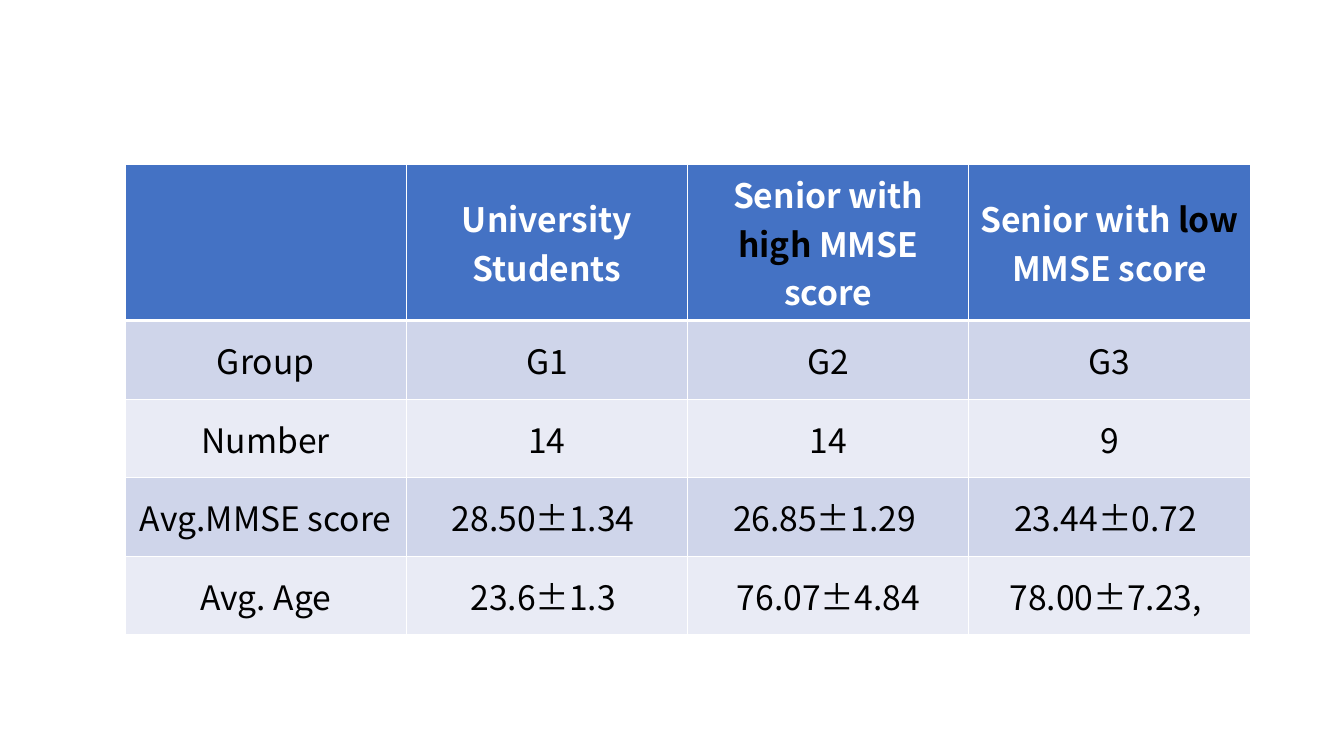
"""Build the slide with the table of participant groups and their MMSE scores."""
from dataclasses import dataclass

from lxml import etree
from pptx import Presentation
from pptx import util as u
from pptx.dml.color import RGBColor
from pptx.enum import text
from pptx.oxml import ns
from pptx.table import _Cell

WHITE = RGBColor(0xFF, 0xFF, 0xFF)
BLACK = RGBColor(0x00, 0x00, 0x00)
HEADER_BLUE = RGBColor(0x44, 0x72, 0xC4)
BAND_DARK = RGBColor(0xCF, 0xD5, 0xEA)
BAND_LIGHT = RGBColor(0xE9, 0xEB, 0xF5)
FONT = "Noto Sans CJK KR"
TEXT_SIZE = u.Pt(24)
THIN, THICK = u.Pt(1), u.Pt(3)
SLIDE_WIDTH, SLIDE_HEIGHT = u.Inches(13.33), u.Inches(7.5)
LEFT, TOP = u.Inches(1.24), u.Inches(1.63)
COLUMN_WIDTH = u.Inches(2.79)
HEADER_HEIGHT, ROW_HEIGHT = u.Inches(1.13), u.Inches(0.78)


@dataclass(frozen=True)
class Phrase:
    """A stretch of text in one colour."""
    words: str
    color: RGBColor = WHITE


Line = list[Phrase]


def senior_heading(level: str) -> list[Line]:
    """Return the heading of a senior group with its score level in black."""
    return [[Phrase("Senior with "), Phrase(level, BLACK), Phrase(" MMSE score")]]


HEADINGS: list[list[Line]] = [
    [],
    [[Phrase("University")], [Phrase("Students")]],
    senior_heading("high"),
    senior_heading("low"),
]
MEASURES = [
    ("Group", "G1", "G2", "G3"),
    ("Number", "14", "14", "9"),
    ("Avg.MMSE score", "28.50±1.34 ", "26.85±1.29 ", "23.44±0.72 "),
    ("Avg. Age", "23.6±1.3 ", "76.07±4.84", "78.00±7.23, "),
]


def add_borders(cell: _Cell, top: int, bottom: int) -> None:
    """Draw white borders, thin at the sides."""
    properties = cell._tc.get_or_add_tcPr()
    for side, width in (("L", THIN), ("R", THIN), ("T", top), ("B", bottom)):
        border = etree.SubElement(properties, ns.qn(f"a:ln{side}"), w=str(int(width)))
        fill = etree.SubElement(border, ns.qn("a:solidFill"))
        etree.SubElement(fill, ns.qn("a:srgbClr"), val=str(WHITE))


def write_lines(cell: _Cell, lines: list[Line], bold: bool) -> None:
    """Write centred paragraphs, run by run."""
    for index, line in enumerate(lines):
        frame = cell.text_frame
        paragraph = frame.add_paragraph() if index else frame.paragraphs[0]
        paragraph.alignment = text.PP_ALIGN.CENTER
        for phrase in line:
            run = paragraph.add_run()
            run.text = phrase.words
            run.font.size = TEXT_SIZE
            run.font.bold = bold
            run.font.name = FONT
            run.font.color.rgb = phrase.color
            etree.SubElement(run.font._element, ns.qn("a:ea"), typeface=FONT)


def fill_cell(cell: _Cell, lines: list[Line], row: int) -> None:
    """Style and fill one cell according to its row."""
    is_header = row == 0
    add_borders(cell, THICK if row == 1 else THIN, THICK if is_header else THIN)
    cell.fill.solid()
    band = BAND_DARK if row % 2 else BAND_LIGHT
    cell.fill.fore_color.rgb = HEADER_BLUE if is_header else band
    cell.vertical_anchor = text.MSO_ANCHOR.MIDDLE
    write_lines(cell, lines, is_header)


def main() -> None:
    """Create and save the presentation."""
    deck = Presentation()
    deck.slide_width, deck.slide_height = SLIDE_WIDTH, SLIDE_HEIGHT
    slide = deck.slides.add_slide(deck.slide_layouts[6])
    content = [HEADINGS] + [[[[Phrase(value, BLACK)]] for value in measure] for measure in MEASURES]
    groups = slide.shapes.add_table(
        len(content), len(HEADINGS), LEFT, TOP,
        COLUMN_WIDTH * len(HEADINGS), HEADER_HEIGHT + ROW_HEIGHT * len(MEASURES),
    ).table
    for column in groups.columns:
        column.width = COLUMN_WIDTH
    for row, cells in enumerate(content):
        groups.rows[row].height = ROW_HEIGHT if row else HEADER_HEIGHT
        for column, lines in enumerate(cells):
            fill_cell(groups.cell(row, column), lines, row)
    deck.save("out.pptx")


main()
